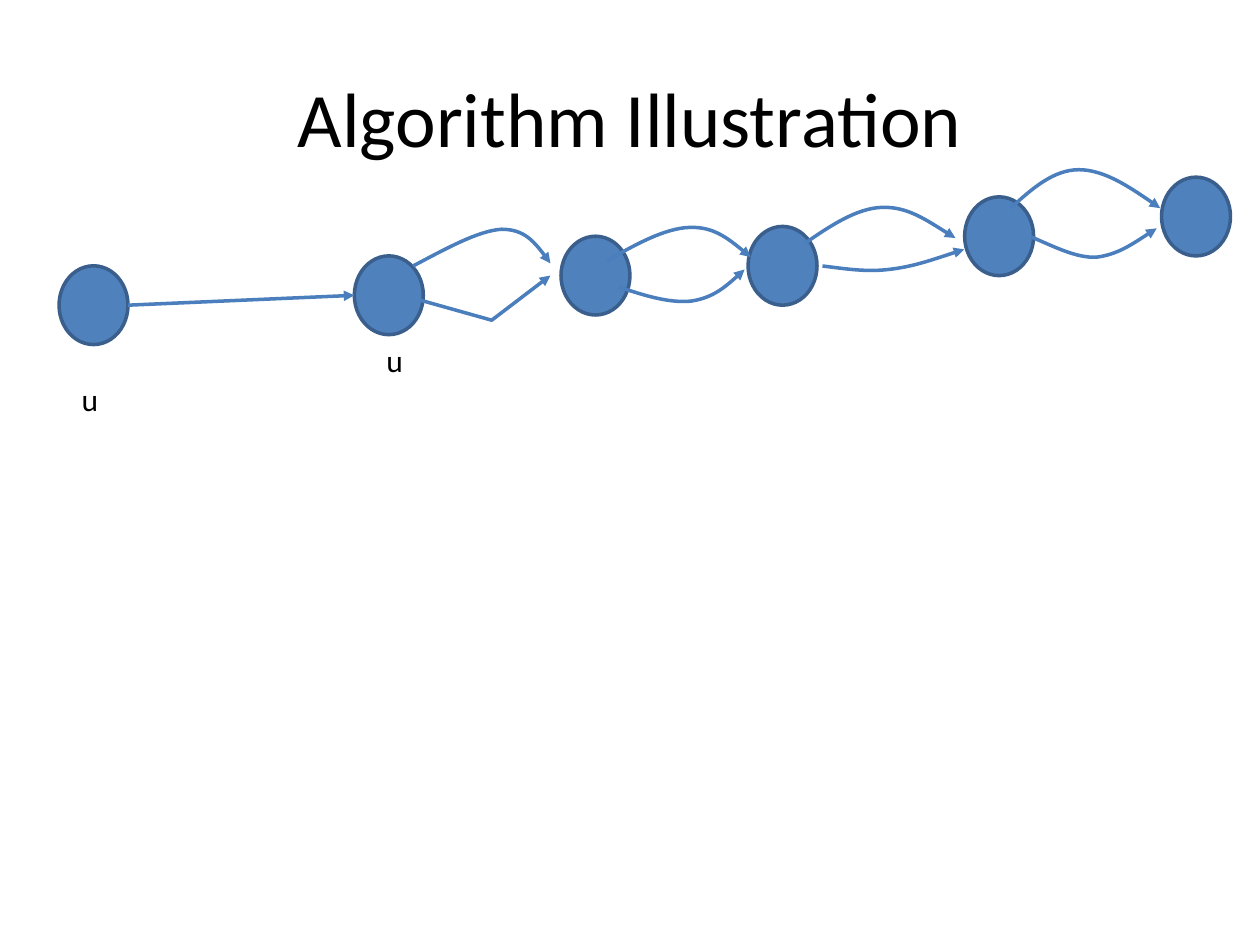
"""Build the Algorithm Illustration slide: a chain of nodes joined by arrows."""
from lxml import etree
from pptx import Presentation
from pptx.dml.color import RGBColor
from pptx.enum import shapes, text
from pptx.oxml.ns import qn
from pptx.util import Pt

NODE_FILL = RGBColor(0x4F, 0x81, 0xBD)
NODE_EDGE = RGBColor(0x3A, 0x5F, 0x8C)
ARROW = RGBColor(0x4B, 0x7E, 0xBC)
BLACK = RGBColor(0, 0, 0)
FONT = "Calibri"
NODE_WIDTH, NODE_HEIGHT = 39.4, 45

NODES = [(33.75, 151.9), (202.5, 146.25), (320.6, 135),
         (427.5, 129.4), (551.25, 112.5), (663.75, 101.25)]
CURVES = [
    [(236, 152), (255, 142), (273, 132), (286.5, 131),
     (299.5, 131), (307.5, 140.5), (314.5, 150.5)],
    [(347, 149), (363.5, 139.5), (380, 130.5), (394, 130),
     (407.5, 129.5), (418.5, 138), (429, 147)],
    [(353.5, 164), (368.5, 169), (383, 173.5), (395.5, 172),
     (407.5, 170), (417, 162), (425.5, 154)],
    [(460, 139), (474.5, 129), (489.5, 119), (504, 118.5),
     (518.5, 118), (532, 127.5), (546, 136)],
    [(470, 152), (482.5, 153.5), (494.5, 155.5), (507.5, 154),
     (521.5, 152.5), (535.5, 147.5), (551, 142.5)],
    [(577.5, 119), (589.5, 108), (602, 97), (616.5, 97),
     (630.5, 97), (647.5, 108), (663, 119)],
    [(589.5, 135.5), (602.5, 141), (615, 147.5), (626.5, 147),
     (638.5, 145.5), (649.5, 138), (661, 130.5)],
]
BENT_EDGE = [(240, 171.5), (281, 183), (314.5, 157.5)]
LABELS = [("u", 39.6, 213.75), ("u", 213.75, 191.25)]


def style_font(paragraph, size):
    """Give a paragraph the slide's typeface and colour."""
    paragraph.font.name = FONT
    paragraph.font.size = Pt(size)
    paragraph.font.color.rgb = BLACK


def style_arrow(edge):
    """Draw an edge as a plain line with a triangle at its end."""
    edge.line.color.rgb = ARROW
    edge.line.width = Pt(2)
    line = edge.line._get_or_add_ln()
    etree.SubElement(line, qn("a:tailEnd"), type="triangle")


def set_title(slide, wording):
    """Place and format the title."""
    title = slide.shapes.title
    title.left, title.top = Pt(36), Pt(21.6)
    title.width, title.height = Pt(648), Pt(90)
    title.text_frame.text = wording
    title.text_frame.vertical_anchor = text.MSO_ANCHOR.MIDDLE
    heading = title.text_frame.paragraphs[0]
    heading.alignment = text.PP_ALIGN.CENTER
    style_font(heading, 44)


def add_node(slide, left, top):
    """Add one round node."""
    node = slide.shapes.add_shape(shapes.MSO_SHAPE.OVAL, Pt(left), Pt(top),
                                  Pt(NODE_WIDTH), Pt(NODE_HEIGHT))
    node.shadow.inherit = False
    node.fill.solid()
    node.fill.fore_color.rgb = NODE_FILL
    node.line.color.rgb = NODE_EDGE
    node.line.width = Pt(2)


def add_straight_edge(slide, start, end):
    """Add a straight arrow between two points."""
    edge = slide.shapes.add_connector(shapes.MSO_CONNECTOR.STRAIGHT,
                                      *map(Pt, start + end))
    style_arrow(edge)
    etree.SubElement(edge._element.spPr, qn("a:effectLst"))


def add_bent_edge(slide, points):
    """Add an open arrow through the points and return it."""
    start, *rest = [(Pt(x), Pt(y)) for x, y in points]
    builder = slide.shapes.build_freeform(*start)
    builder.add_line_segments(rest, close=False)
    edge = builder.convert_to_shape()
    edge.shadow.inherit = False
    edge.fill.background()
    style_arrow(edge)
    return edge


def add_curved_edge(slide, points):
    """Add an arrow of cubic curves, three points to each curve."""
    edge = add_bent_edge(slide, points)
    segments = list(edge._element.iter(qn("a:lnTo")))
    for first in range(0, len(segments), 3):
        curve = etree.Element(qn("a:cubicBezTo"))
        segments[first].addprevious(curve)
        for segment in segments[first:first + 3]:
            curve.append(segment[0])
            segment.getparent().remove(segment)


def add_label(slide, wording, left, top):
    """Add a node label."""
    label = slide.shapes.add_textbox(Pt(left), Pt(top), Pt(28), Pt(29))
    frame = label.text_frame
    frame.word_wrap = True
    frame.auto_size = text.MSO_AUTO_SIZE.SHAPE_TO_FIT_TEXT
    frame.text = wording
    style_font(frame.paragraphs[0], 18)


def main():
    """Assemble and save the slide."""
    deck = Presentation()
    deck.slide_width, deck.slide_height = Pt(720), Pt(540)
    slide = deck.slides.add_slide(deck.slide_layouts[5])
    set_title(slide, "Algorithm Illustration")
    for node in NODES:
        add_node(slide, *node)
    add_straight_edge(slide, (73.15, 174.4), (202.5, 168.75))
    add_bent_edge(slide, BENT_EDGE)
    for curve in CURVES:
        add_curved_edge(slide, curve)
    for label in LABELS:
        add_label(slide, *label)
    deck.save("out.pptx")


if __name__ == "__main__":
    main()
